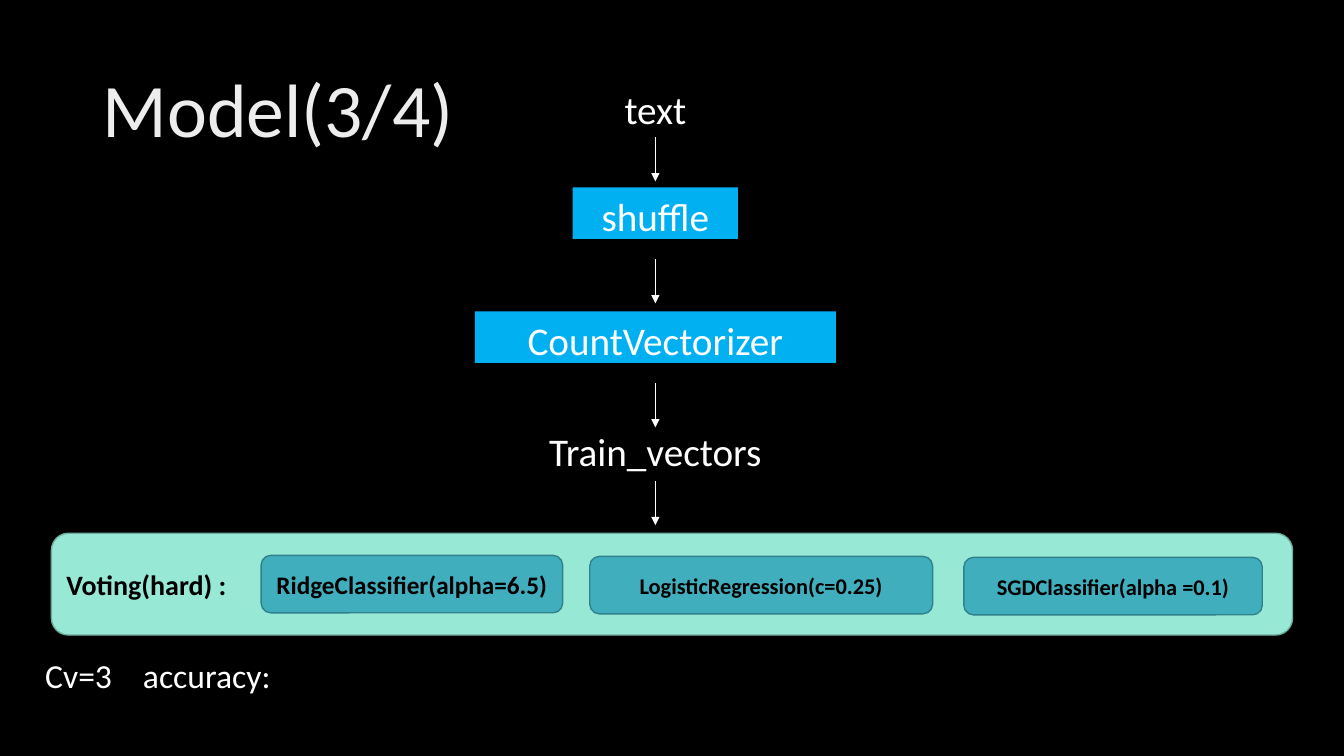
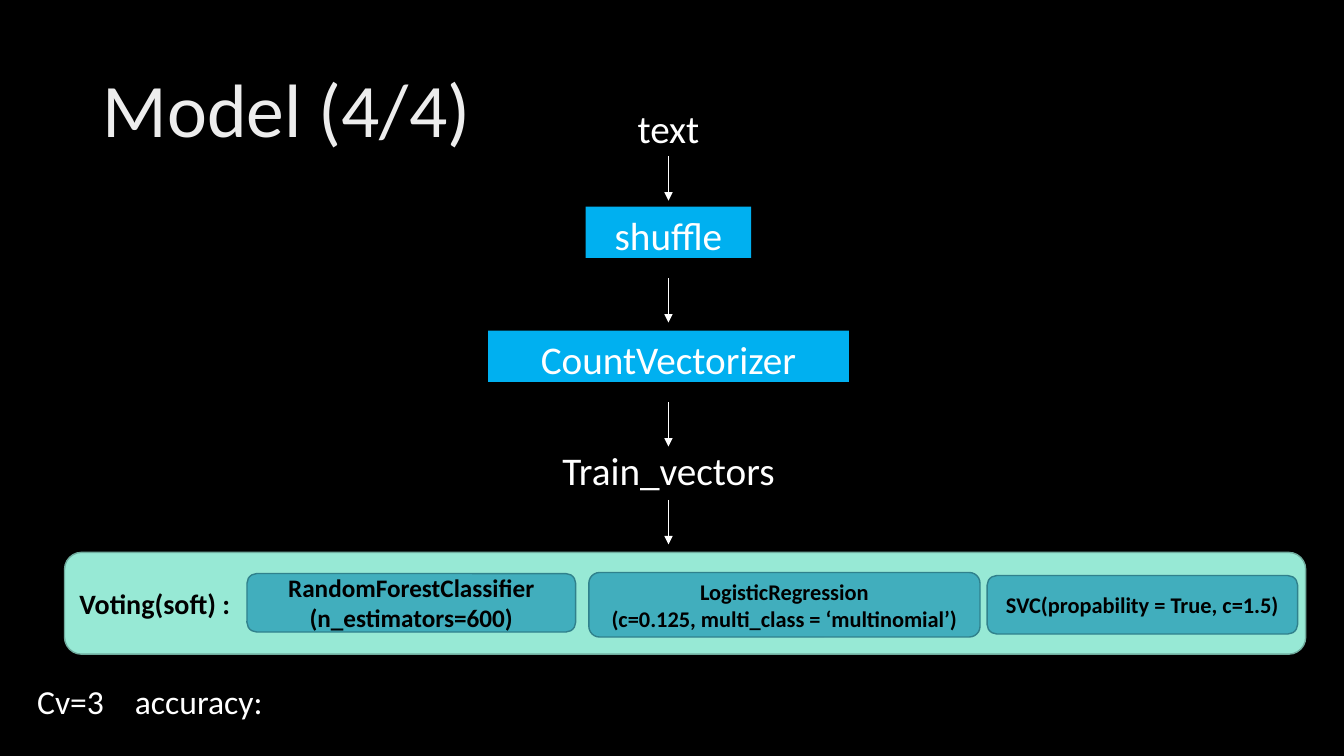
from dataclasses import dataclass

from lxml import etree
from pptx import Presentation
from pptx.dml.color import RGBColor
from pptx.enum.shapes import MSO_CONNECTOR, MSO_SHAPE
from pptx.enum.text import MSO_ANCHOR, PP_ALIGN
from pptx.oxml.ns import qn
from pptx.util import Inches, Pt

RECT, ROUNDED = MSO_SHAPE.RECTANGLE, MSO_SHAPE.ROUNDED_RECTANGLE
STRAIGHT = MSO_CONNECTOR.STRAIGHT
LEFT, CENTER = PP_ALIGN.LEFT, PP_ALIGN.CENTER
TOP, MIDDLE = MSO_ANCHOR.TOP, MSO_ANCHOR.MIDDLE


@dataclass(frozen=True)
class Theme:
    font: str = "Calibri"
    background: str = "000000"
    title: str = "EDEDED"
    light: str = "FFFFFF"
    dark: str = "000000"
    step: str = "00B0F0"
    voting: str = "97E9D5"
    voting_edge: str = "70AC9E"
    classifier: str = "41AEBD"
    classifier_edge: str = "30818C"
    title_size: int = 54
    step_size: int = 28
    result_size: int = 24
    voting_size: int = 20
    large_classifier_size: int = 18
    classifier_size: int = 16
    arrow_width: float = 0.5
    edge_width: float = 1


THEME = Theme()
STEP_HEIGHT = 0.51
ARROW_LENGTH = 0.44
FLOW_CENTER = 6.5
# Caption, top, width, filled
STEPS = [
    ("text", 0.8, 2.82, False),
    ("shuffle", 1.86, 1.64, True),
    ("CountVectorizer", 3.09, 3.58, True),
    ("Train_vectors", 4.19, 3.21, False),
]
ARROW_TOPS = [1.36, 2.57, 3.8, 4.77]

# Classifiers: lines, (left, top, width, height), type size
MODELS = [
    dict(
        title="Model(3/4)", shift=(0, 0), voting="Voting(hard) :",
        result_at=(0.35, 6.45),
        classifiers=[
            (["RidgeClassifier(alpha=6.5)"], (2.59, 5.51, 2.99, 0.57),
             THEME.large_classifier_size),
            (["LogisticRegression(c=0.25)"], (5.85, 5.52, 3.4, 0.57),
             THEME.classifier_size),
            (["SGDClassifier(alpha =0.1)"], (9.56, 5.53, 2.96, 0.57),
             THEME.classifier_size),
        ],
    ),
    dict(
        title="Model (4/4)", shift=(0.13, 0.19), voting="Voting(soft) :",
        result_at=(0.27, 6.71),
        classifiers=[
            (["RandomForestClassifier", "(n_estimators=600)"],
             (2.45, 5.69, 3.26, 0.58), THEME.large_classifier_size),
            (["LogisticRegression", "(c=0.125, multi_class = ‘multinomial’)"],
             (5.84, 5.68, 3.88, 0.64), THEME.classifier_size),
            (["SVC(propability = True, c=1.5)"], (9.79, 5.71, 3.08, 0.58),
             THEME.classifier_size),
        ],
    ),
]


class Deck:
    def __init__(self, theme):
        self.theme = theme
        self.presentation = Presentation()
        self.presentation.slide_width = Inches(13.33)
        self.presentation.slide_height = Inches(7.5)
        self.slide = None

    def new_slide(self, title):
        blank = self.presentation.slide_layouts[6]
        self.slide = self.presentation.slides.add_slide(blank)
        fill = self.slide.background.fill
        fill.solid()
        fill.fore_color.rgb = RGBColor.from_string(self.theme.background)
        heading = self.text((0.92, 0.4, 11.5, 1.45), title,
                            self.theme.title_size, self.theme.title, LEFT, MIDDLE)
        heading.paragraphs[0].line_spacing = 0.9

    def set_text(self, frame, lines, size, color, align, anchor, bold=False):
        frame.word_wrap = True
        frame.vertical_anchor = anchor
        frame.text = "\n".join(lines)
        for paragraph in frame.paragraphs:
            paragraph.alignment = align
            font = paragraph.font
            font.name, font.size, font.bold = self.theme.font, Pt(size), bold
            font.color.rgb = RGBColor.from_string(color)

    def text(self, box, caption, size, color, align=LEFT, anchor=TOP):
        frame = self.slide.shapes.add_textbox(*map(Inches, box)).text_frame
        self.set_text(frame, [caption], size, color, align, anchor)
        return frame

    def panel(self, kind, box, fill, edge=None):
        panel = self.slide.shapes.add_shape(kind, *map(Inches, box))
        panel.shadow.inherit = False
        panel.fill.solid()
        panel.fill.fore_color.rgb = RGBColor.from_string(fill)
        if edge:
            panel.line.color.rgb = RGBColor.from_string(edge)
            panel.line.width = Pt(self.theme.edge_width)
        else:
            panel.line.fill.background()
        return panel.text_frame

    def step(self, caption, center, top, width, filled):
        theme = self.theme
        box = (center - width / 2, top, width, STEP_HEIGHT)
        if filled:
            frame = self.panel(RECT, box, theme.step)
            self.set_text(frame, [caption], theme.step_size, theme.light, CENTER, TOP)
        else:
            self.text(box, caption, theme.step_size, theme.light, CENTER)

    def arrow(self, x, top):
        arrow = self.slide.shapes.add_connector(
            STRAIGHT, *map(Inches, (x, top, x, top + ARROW_LENGTH)))
        arrow.line.color.rgb = RGBColor.from_string(self.theme.light)
        arrow.line.width = Pt(self.theme.arrow_width)
        properties = arrow._element.spPr
        outline = properties.find(qn("a:ln"))
        etree.SubElement(outline, qn("a:tailEnd"), type="triangle")
        etree.SubElement(properties, qn("a:effectLst"))

    def voting(self, caption, left, top):
        theme = self.theme
        frame = self.panel(ROUNDED, (left, top, 12.31, 1.01),
                           theme.voting, theme.voting_edge)
        self.set_text(frame, [caption], theme.voting_size, theme.dark,
                      LEFT, MIDDLE, True)

    def classifier(self, lines, box, size):
        theme = self.theme
        frame = self.panel(ROUNDED, box, theme.classifier, theme.classifier_edge)
        self.set_text(frame, lines, size, theme.dark, CENTER, MIDDLE, True)

    def result(self, left, top):
        """Cross-validation line, with its second part set at a tab stop."""
        frame = self.text((left, top, 8.9, 0.5), "Cv=3\taccuracy:",
                          self.theme.result_size, self.theme.light)
        properties = frame.paragraphs[0]._p.get_or_add_pPr()
        tabs = etree.Element(qn("a:tabLst"))
        etree.SubElement(tabs, qn("a:tab"), pos=str(Inches(0.97)), algn="l")
        properties.find(qn("a:defRPr")).addprevious(tabs)


def main():
    deck = Deck(THEME)
    for model in MODELS:
        deck.new_slide(model["title"])
        dx, dy = model["shift"]
        center = FLOW_CENTER + dx
        for caption, top, width, filled in STEPS:
            deck.step(caption, center, top + dy, width, filled)
        for top in ARROW_TOPS:
            deck.arrow(center, top + dy)
        deck.voting(model["voting"], 0.51 + dx, 5.29 + dy)
        for lines, box, size in model["classifiers"]:
            deck.classifier(lines, box, size)
        deck.result(*model["result_at"])
    deck.presentation.save("out.pptx")


if __name__ == "__main__":
    main()
